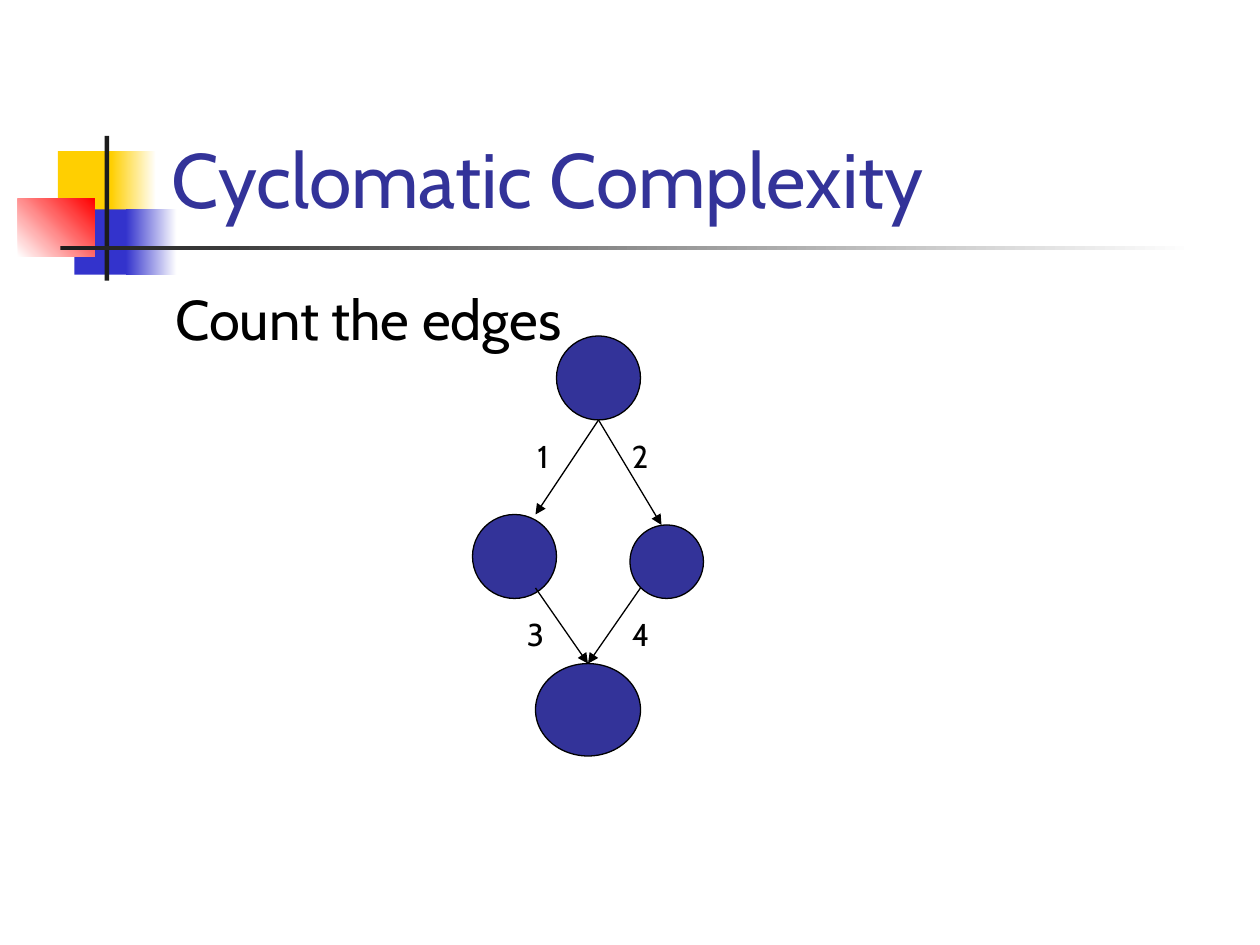
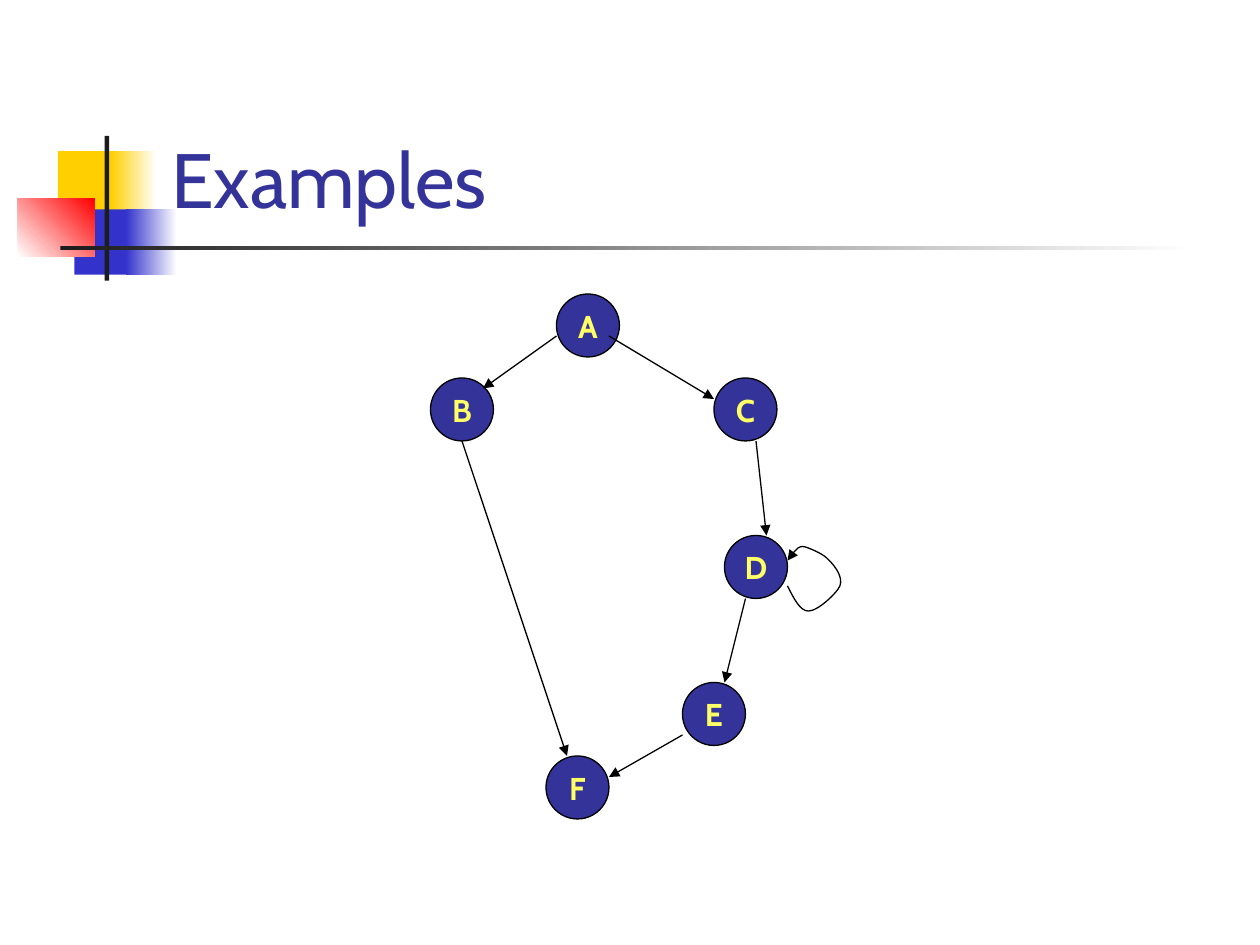
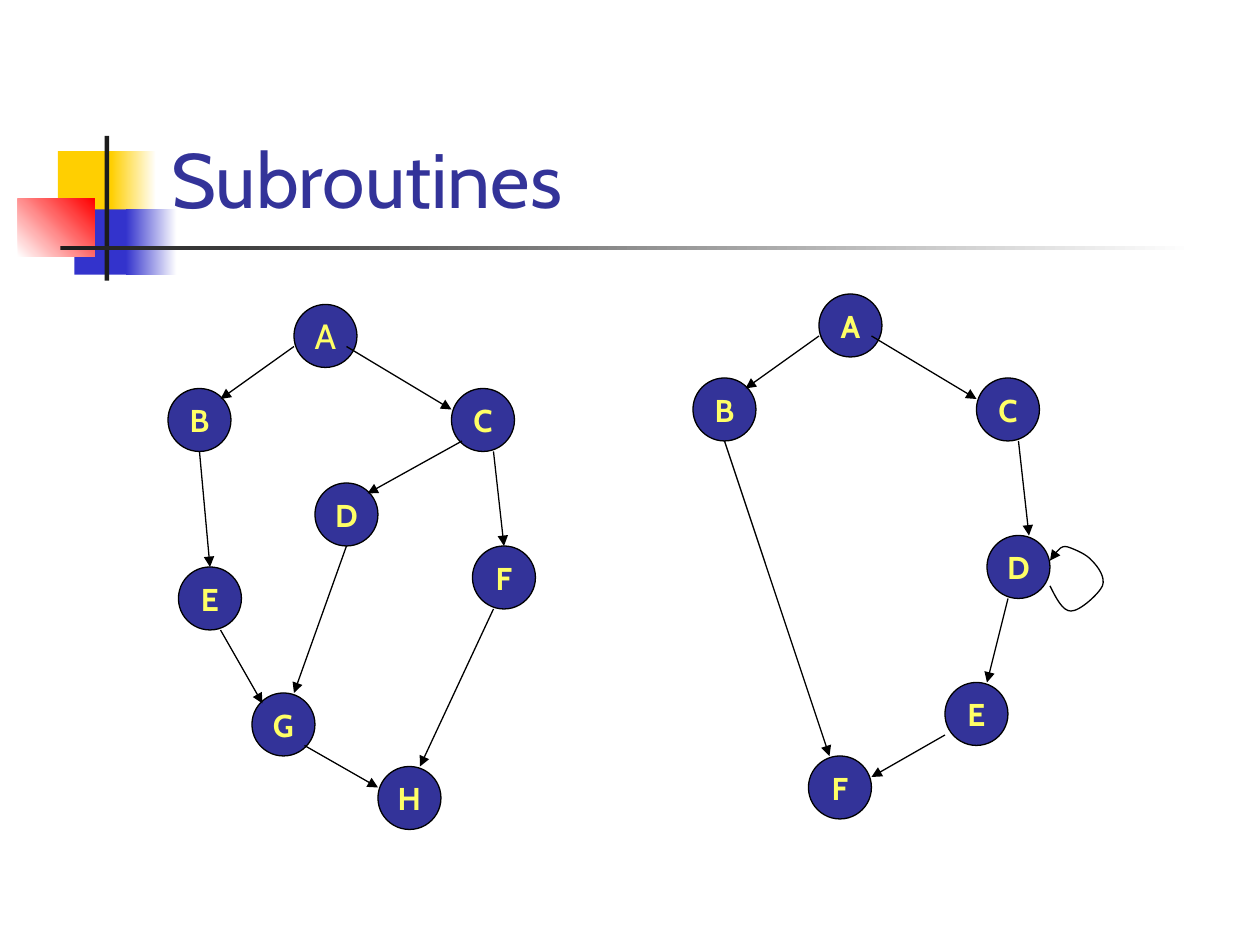
import pptx
import pptx.dml.color
import pptx.enum.shapes
import pptx.enum.text
import pptx.oxml.ns
import pptx.util
from lxml import etree

Cm = pptx.util.Cm
Pt = pptx.util.Pt
qn = pptx.oxml.ns.qn
SHAPE = pptx.enum.shapes.MSO_SHAPE
ANCHOR = pptx.enum.text.MSO_ANCHOR
ALIGN = pptx.enum.text.PP_ALIGN

FONT = "Cabin"
COLORS = {
    "navy": "333399",
    "label": "FFFF66",
    "black": "000000",
    "white": "FFFFFF",
    "yellow": "FFCF01",
    "blue": "3333CC",
    "red": "FF0000",
    "bar": "1C1C1C",
}

# Band: left, top, width, height in cm, colours, gradient angle
BAND = [
    (1.17, 3.05, 1.22, 1.32, ["yellow"], 0),
    (2.24, 3.05, 0.91, 1.32, ["yellow", "white"], 0),
    (1.5, 4.22, 1.17, 1.32, ["blue"], 0),
    (2.54, 4.22, 1.02, 1.32, ["blue", "white"], 0),
    (0.36, 4.01, 1.55, 1.17, ["white", "red"], 45),
    (2.11, 2.74, 0.09, 2.92, ["bar"], 0),
    (1.22, 4.95, 22.86, 0.09, ["bar", "white"], 0),
]
TITLE_AREA = (3.2, 0.58, 21.64, 4.06)
BODY_AREA = (3.28, 5.61, 21.59, 11.43)

# Graphs are laid out on a grid of twelve steps to the inch.
GRID_CM = 2.54 / 12
NODE_SIZE = 6
PLAIN, BOLD = {"size": 20}, {"size": 18, "bold": True}

COUNTED_NODES = [(53, 32, 8, 8), (60, 50, 7, 7), (45, 49, 8, 8), (51, 63.2, 10, 8.8)]
COUNTED_EDGES = [
    ((57, 40), (51, 49)),
    ((57, 40), (63, 50)),
    ((51, 56), (56, 63.2)),
    ((61, 56), (56, 63.2)),
]
EDGE_NUMBERS = [("2", 59, 41), ("1", 50, 41), ("4", 59, 58), ("3", 49, 58)]

LOOP_GRAPH = {
    "nodes": [
        ("B", 41, 36, BOLD), ("A", 53, 28, BOLD), ("C", 68, 36, BOLD),
        ("E", 65, 65, BOLD), ("F", 52, 72, BOLD), ("D", 69, 51, BOLD),
    ],
    "edges": [
        ((53, 32), (46, 37)),
        ((58, 32), (68, 38)),
        ((44, 42), (54, 72)),
        ((71, 57), (69, 65)),
        ((72, 42), (73, 51)),
        ((65, 70), (58, 74)),
    ],
    # Start point, then two control points and an end point for each curve
    "loop": [
        (75, 55.8),
        (75.6, 57), (76.2, 58.2), (77, 58.2),
        (77.9, 58.2), (79.7, 56.5), (80, 55.8),
        (80.3, 55), (79.6, 54), (79, 53.4),
        (78.5, 52.8), (77.5, 52.4), (77, 52.2),
        (76.5, 52), (76.3, 52), (76, 52.2),
        (75.7, 52.4), (75.1, 53.2), (75, 53.4),
    ],
}
BRANCH_GRAPH = {
    "nodes": [
        ("B", 16, 37, BOLD), ("A", 28, 29, PLAIN), ("C", 43, 37, BOLD),
        ("F", 45, 52, BOLD), ("E", 17, 54, BOLD), ("G", 24, 66, BOLD),
        ("H", 36, 73, BOLD), ("D", 30, 46, BOLD),
    ],
    "edges": [
        ((28, 33), (21, 38)),
        ((33, 33), (43, 39)),
        ((19, 43), (20, 54)),
        ((44, 42), (35, 47)),
        ((47, 43), (48, 52)),
        ((33, 52), (28, 66)),
        ((21, 60), (25, 67)),
        ((29, 71), (36, 75)),
        ((47, 58), (40, 73)),
    ],
    "loop": [],
}
# Title, then each graph with its shift to the right
GRAPH_PAGES = [
    ("Examples", [(LOOP_GRAPH, 0)]),
    ("Subroutines", [(BRANCH_GRAPH, 0), (LOOP_GRAPH, 25)]),
]


def rgb(name):
    return pptx.dml.color.RGBColor.from_string(COLORS[name])


def grid(*steps):
    return [Cm(step * GRID_CM) for step in steps]


def write(frame, text, size=18, color="black", bold=False, align=ALIGN.LEFT,
          anchor=ANCHOR.TOP, wrap=True):
    frame.word_wrap = wrap
    frame.auto_size = pptx.enum.text.MSO_AUTO_SIZE.NONE
    frame.vertical_anchor = anchor
    para = frame.paragraphs[0]
    para.alignment = align
    para.space_before = Pt(0)
    span = para.add_run()
    span.text = text
    span.font.name = FONT
    span.font.size = Pt(size)
    span.font.bold = bold
    span.font.color.rgb = rgb(color)


def place(box, area):
    box.left, box.top, box.width, box.height = [Cm(length) for length in area]


def add_band(page, master):
    """Draw the band and move it to the master, where every page shows it."""
    for number, (*area, colors, angle) in enumerate(BAND):
        box = page.shapes.add_shape(SHAPE.RECTANGLE, *[Cm(length) for length in area])
        box.shadow.inherit = False
        box.line.fill.background()
        if len(colors) == 1:
            box.fill.solid()
            box.fill.fore_color.rgb = rgb(colors[0])
        else:
            box.fill.gradient()
            box.fill.gradient_angle = angle
            for stop, color in zip(box.fill.gradient_stops, colors):
                stop.color.rgb = rgb(color)
        box.element.xpath(".//p:cNvPr")[0].set("id", str(100 + number))
        master.shapes.element.insert(2 + number, box.element)


def add_page(deck, layout, title):
    page = deck.slides.add_slide(deck.slide_layouts.get_by_name(layout))
    place(page.shapes.title, TITLE_AREA)
    write(page.shapes.title.text_frame, title, size=44, color="navy", anchor=ANCHOR.BOTTOM)
    return page


def outline(shape, arrow=False):
    shape.line.color.rgb = rgb("black")
    shape.line.width = Pt(0.75)
    if arrow:
        line = shape.element.xpath(".//a:ln")[0]
        etree.SubElement(line, qn("a:tailEnd"), type="triangle")


def add_node(page, left, top, width=NODE_SIZE, height=NODE_SIZE):
    node = page.shapes.add_shape(SHAPE.OVAL, *grid(left, top, width, height))
    node.shadow.inherit = False
    node.fill.solid()
    node.fill.fore_color.rgb = rgb("navy")
    outline(node)
    return node


def add_edge(page, start, end, shift=0):
    (x1, y1), (x2, y2) = start, end
    edge = page.shapes.add_connector(
        pptx.enum.shapes.MSO_CONNECTOR.STRAIGHT, *grid(x1 + shift, y1, x2 + shift, y2))
    outline(edge, arrow=True)
    etree.SubElement(edge.element.spPr, qn("a:effectLst"))


def add_loop(page, points, shift):
    """Build an open outline, then turn each three line segments into one curve."""
    start, *rest = [grid(x + shift, y) for x, y in points]
    builder = page.shapes.build_freeform(*start)
    builder.add_line_segments(rest, close=False)
    loop = builder.convert_to_shape()
    loop.shadow.inherit = False
    loop.fill.background()
    outline(loop, arrow=True)
    route = loop.element.xpath(".//a:path")[0]
    segments = route.findall(qn("a:lnTo"))
    for first in range(0, len(segments), 3):
        curve = etree.SubElement(route, qn("a:cubicBezTo"))
        for segment in segments[first:first + 3]:
            curve.append(segment[0])
            route.remove(segment)


def add_graph(page, graph, shift):
    for name, left, top, style in graph["nodes"]:
        node = add_node(page, left + shift, top)
        write(node.text_frame, name, color="label", align=ALIGN.CENTER,
              anchor=ANCHOR.MIDDLE, wrap=False, **style)
    for start, end in graph["edges"]:
        add_edge(page, start, end, shift)
    if graph["loop"]:
        add_loop(page, graph["loop"], shift)


def add_counting_page(deck):
    page = add_page(deck, "Title and Content", "Cyclomatic Complexity")
    body = page.placeholders[1]
    place(body, BODY_AREA)
    properties = body.text_frame.paragraphs[0]._p.get_or_add_pPr()
    properties.set("marL", str(Cm(0.95)))
    properties.set("indent", str(-Cm(0.95)))
    etree.SubElement(properties, qn("a:buNone"))
    write(body.text_frame, "Count the edges", size=32)
    for area in COUNTED_NODES:
        add_node(page, *area)
    for start, end in COUNTED_EDGES:
        add_edge(page, start, end)
    for number, left, top in EDGE_NUMBERS:
        box = page.shapes.add_textbox(*grid(left, top, 4, 4.8))
        write(box.text_frame, number)
    return page


def main():
    deck = pptx.Presentation()
    deck.slide_width, deck.slide_height = Cm(25.4), Cm(19.05)
    add_band(add_counting_page(deck), deck.slide_master)
    for title, graphs in GRAPH_PAGES:
        page = add_page(deck, "Title Only", title)
        for graph, shift in graphs:
            add_graph(page, graph, shift)
    deck.save("out.pptx")


if __name__ == "__main__":
    main()
